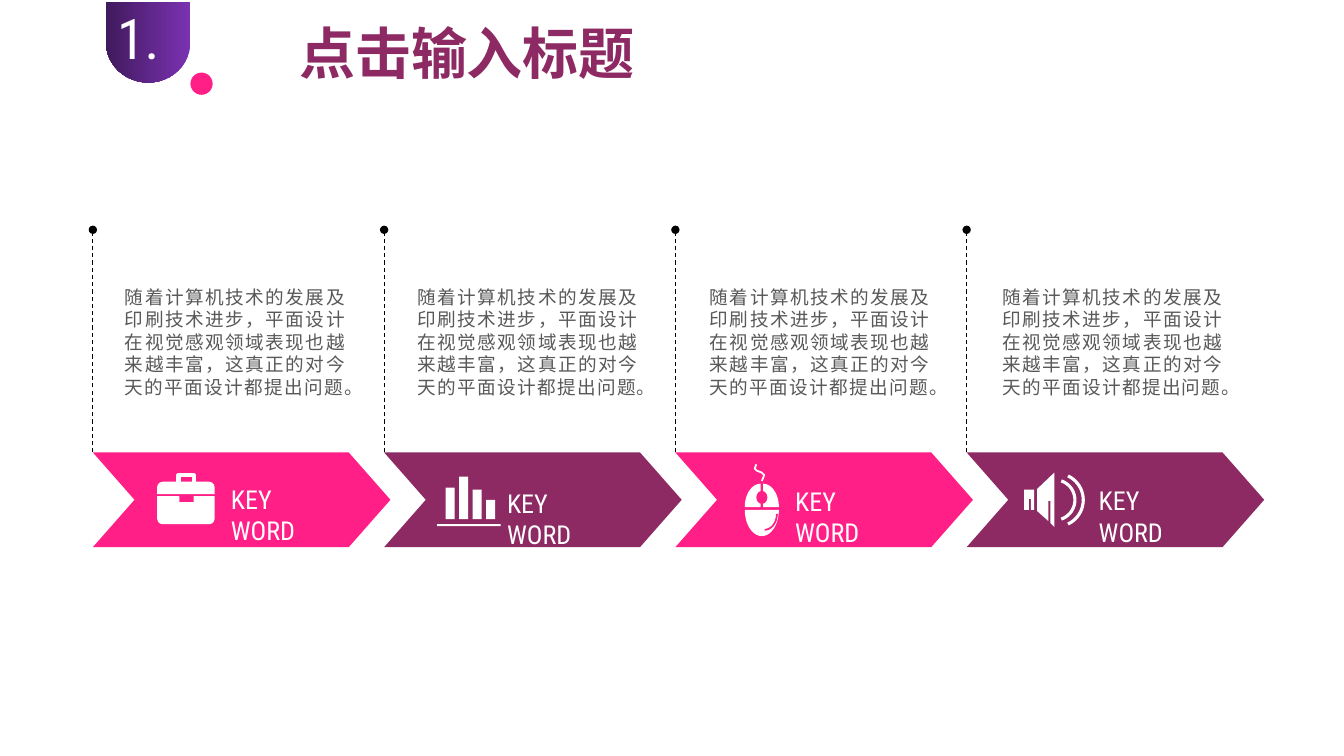
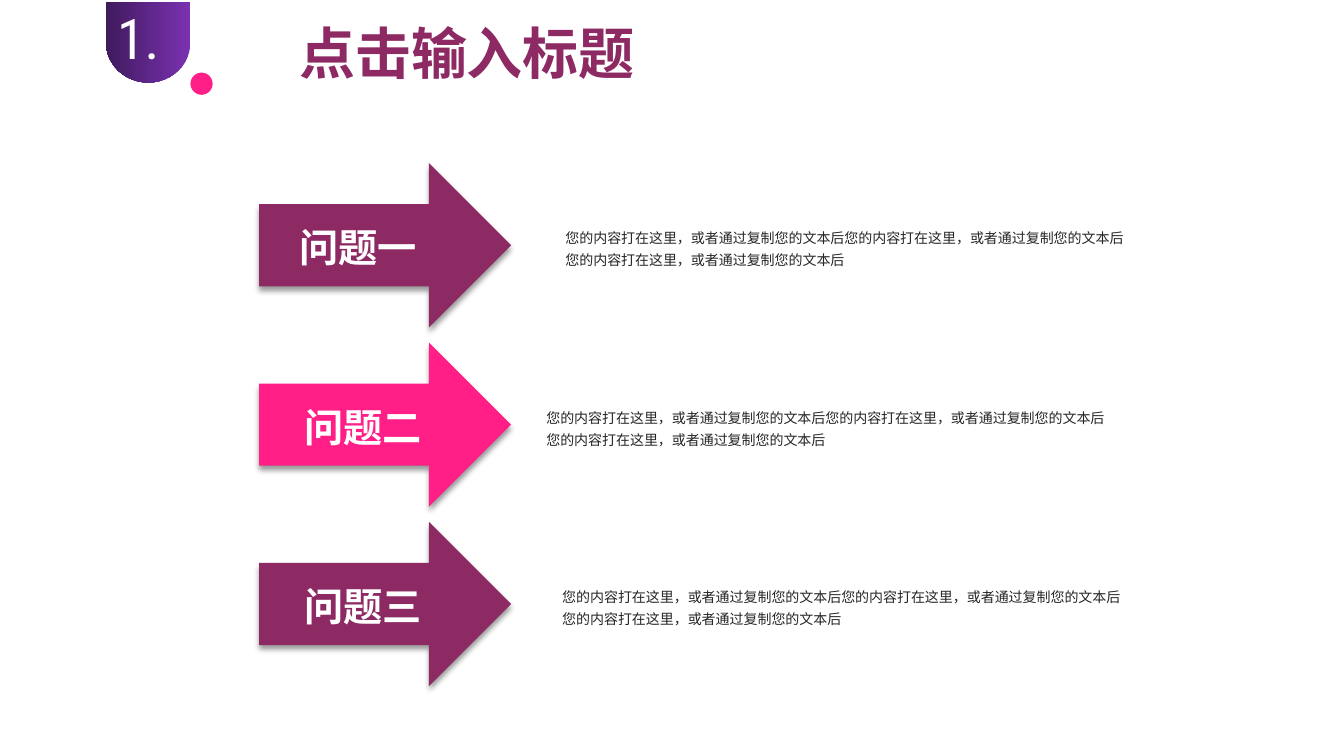
from math import cos, radians, sin

from lxml.etree import SubElement
from pptx import Presentation
from pptx.dml.color import RGBColor
from pptx.enum.dml import MSO_LINE
from pptx.enum.shapes import MSO_CONNECTOR, MSO_SHAPE
from pptx.enum.text import MSO_ANCHOR, MSO_AUTO_SIZE, PP_ALIGN
from pptx.oxml.ns import qn
from pptx.util import Cm, Pt

COLOURS = {
    "plum": "8D2963", "pink": "FF1F87", "violet": "7B32B2", "indigo": "401A5D",
    "white": "FFFFFF", "black": "000000", "grey": "595959", "ink": "262626",
}
HAN, LATIN = "Noto Sans CJK SC", "Roboto Condensed"
TITLE = "点击输入标题"
STEP_TEXT = "随着计算机技术的发展及印刷技术进步，平面设计在视觉感观领域表现也越来越丰富，这真正的对今天的平面设计都提出问题。"
PHRASE = "您的内容打在这里，或者通过复制您的文本后"
ANSWER = [PHRASE + PHRASE, PHRASE]

STEP_PITCH, STEP_LEFT, STEP_TOP = 7.34, 2.34, 11.4
ROW_PITCH = 4.52


def rgb(name):
    """Return a palette colour."""
    return RGBColor.from_string(COLOURS[name])


def write(tf, lines, size, colour, font=HAN, bold=False, spacing=1.0, align=PP_ALIGN.LEFT):
    """Fill a text frame with one paragraph per line."""
    tf.word_wrap = True
    tf.auto_size = MSO_AUTO_SIZE.NONE
    tf.vertical_anchor = MSO_ANCHOR.TOP
    tf.margin_left = tf.margin_right = tf.margin_top = tf.margin_bottom = 0
    for i, line in enumerate(lines):
        p = tf.paragraphs[0] if i == 0 else tf.add_paragraph()
        p.alignment = align
        p.line_spacing = spacing
        p.space_before = Pt(0)
        r = p.add_run()
        r.text = line
        r.font.size, r.font.bold, r.font.name = Pt(size), bold, font
        r.font.color.rgb = rgb(colour)
        SubElement(r._r.get_or_add_rPr(), qn("a:ea"), typeface=font)


def add_text(s, x, y, w, h, lines, size, colour, **style):
    """Add a text box without insets."""
    sp = s.shapes.add_textbox(Cm(x), Cm(y), Cm(w), Cm(h))
    write(sp.text_frame, lines, size, colour, **style)


def add_shape(s, kind, x, y, w, h, colour):
    """Add a flat preset shape without an outline."""
    sp = s.shapes.add_shape(kind, Cm(x), Cm(y), Cm(w), Cm(h))
    sp.shadow.inherit = False
    sp.fill.solid()
    sp.fill.fore_color.rgb = rgb(colour)
    sp.line.fill.background()
    return sp


def draw_path(s, points, colour, width=None):
    """Draw a filled outline, or an open stroke if a width is given."""
    points = [(Cm(x), Cm(y)) for x, y in points]
    builder = s.shapes.build_freeform(*points[0])
    builder.add_line_segments(points[1:], close=width is None)
    sp = builder.convert_to_shape()
    sp.shadow.inherit = False
    if width is None:
        sp.fill.solid()
        sp.fill.fore_color.rgb = rgb(colour)
        sp.line.fill.background()
    else:
        sp.fill.background()
        sp.line.color.rgb = rgb(colour)
        sp.line.width = Pt(width)


def arc(cx, cy, rx, ry, start, end, steps=20):
    """Return points along an elliptical arc, in clockwise degrees."""
    angles = [radians(start + (end - start) * i / steps) for i in range(steps + 1)]
    return [(cx + rx * cos(a), cy + ry * sin(a)) for a in angles]


def add_header(s):
    """Format the title and add the numbered badge."""
    title = s.shapes.title
    title.left, title.top, title.width, title.height = Cm(7.54), Cm(0.46), Cm(9.5), Cm(2)
    write(title.text_frame, [TITLE], 40, "plum", bold=True)
    badge = add_shape(s, MSO_SHAPE.FLOWCHART_DELAY, 2.72, 0, 2.03, 2.13, "violet")
    badge.rotation = 90
    badge.fill.gradient()
    badge.fill.gradient_angle = 270
    for stop, colour in zip(badge.fill.gradient_stops, ("violet", "indigo")):
        stop.color.rgb = rgb(colour)
    add_text(s, 2.95, 0.08, 1.35, 1.7, ["1."], 40, "white", font=LATIN)
    add_shape(s, MSO_SHAPE.OVAL, 4.8, 1.83, 0.56, 0.56, "pink")


def add_pin(s, x, bottom, top):
    """Add a dashed upright line with a dot at its top."""
    line = s.shapes.add_connector(MSO_CONNECTOR.STRAIGHT, Cm(x), Cm(bottom), Cm(x), Cm(top))
    line.line.color.rgb = rgb("black")
    line.line.width = Pt(0.75)
    line.line.dash_style = MSO_LINE.DASH
    SubElement(line.line._get_or_add_ln(), qn("a:tailEnd"), type="oval")
    SubElement(line._element.spPr, qn("a:effectLst"))


def add_drop_shadow(sp):
    """Give a shape a soft shadow straight below it."""
    effects = sp._element.spPr.find(qn("a:effectLst"))
    shadow = SubElement(effects, qn("a:outerShdw"), blurRad=str(Pt(4)), dist=str(Pt(3)),
                        dir="5400000", algn="t", rotWithShape="0")
    colour = SubElement(shadow, qn("a:srgbClr"), val=COLOURS["black"])
    SubElement(colour, qn("a:alpha"), val="40000")


def draw_briefcase(s, back):
    """Draw a briefcase with a clasp in the background colour."""
    handle = [(4.5, 12.16), (4.5, 11.97), (4.88, 11.97), (4.88, 12.16)]
    draw_path(s, handle, "white", 3)
    add_shape(s, MSO_SHAPE.ROUND_2_SAME_RECTANGLE, 3.96, 12.14, 1.45, 0.31, "white").adjustments[0] = 0.45
    body = add_shape(s, MSO_SHAPE.ROUND_2_SAME_RECTANGLE, 3.96, 12.5, 1.45, 0.71, "white")
    body.rotation = 180
    body.adjustments[0] = 0.2
    add_shape(s, MSO_SHAPE.RECTANGLE, 4.52, 12.5, 0.36, 0.15, back)


def draw_bars(s, back):
    """Draw a bar chart symbol on a base line."""
    for i, height in enumerate((0.79, 1.07, 0.74, 0.48)):
        add_shape(s, MSO_SHAPE.RECTANGLE, 11.23 + 0.34 * i, 13.08 - height, 0.23, height, "white")
    add_shape(s, MSO_SHAPE.RECTANGLE, 11.02, 13.21, 1.6, 0.05, "white")


def draw_mouse(s, back):
    """Draw a computer mouse with its cable."""
    for cx, start in ((19.17, 180), (19.23, 270)):
        draw_path(s, [(cx, 12.78)] + arc(cx, 12.78, 0.4, 0.59, start, start + 90), "white")
    draw_path(s, arc(19.2, 12.85, 0.43, 0.66, 0, 180), "white")
    add_shape(s, MSO_SHAPE.OVAL, 19.06, 12.37, 0.28, 0.33, back)
    draw_path(s, arc(19.27, 12.95, 0.31, 0.4, 0, 90), back, 1.25)
    cable = [(19.06, 11.7), (19.02, 11.81), (19.07, 11.86), (19.2, 11.91), (19.26, 11.97), (19.2, 12.12)]
    draw_path(s, cable, "white", 1.25)


def draw_speaker(s, back):
    """Draw a loudspeaker with two sound waves."""
    draw_path(s, [(26.14, 12.32), (26.57, 11.91), (26.57, 13.28), (26.47, 13.18),
                  (26.47, 12.62), (26.42, 12.62), (26.42, 13.13), (26.14, 12.88)], "white")
    draw_path(s, [(25.81, 12.34), (26.06, 12.34), (26.06, 12.85), (25.98, 12.85),
                  (25.98, 12.57), (25.93, 12.57), (25.93, 12.85), (25.81, 12.85)], "white")
    for cx, radius, angle in ((26.63, 0.67, 65), (26.58, 0.51, 71)):
        draw_path(s, arc(cx, 12.6, radius, radius, -angle, angle), "white", 2.25)


def build_steps(s):
    """Build the row of four chevron steps."""
    steps = [("pink", draw_briefcase, 5.82, 12.19), ("plum", draw_bars, 12.78, 12.29),
             ("pink", draw_mouse, 20.04, 12.24), ("plum", draw_speaker, 27.69, 12.22)]
    for i, (colour, draw_icon, key_x, key_y) in enumerate(steps):
        x = STEP_LEFT + STEP_PITCH * i
        add_pin(s, x, STEP_TOP, 5.79)
        add_text(s, 3.15 + 7.37 * i, 7.19, 5.54, 2.9, [STEP_TEXT], 13.3, "grey",
                 spacing=Pt(16.1), align=PP_ALIGN.JUSTIFY)
        add_shape(s, MSO_SHAPE.CHEVRON, x, STEP_TOP, 7.5, 2.39, colour).adjustments[0] = 0.44
        draw_icon(s, colour)
        add_text(s, key_x, key_y, 2.1, 1.6, ["KEY WORD"], 18.6, "white", font=LATIN)


def build_questions(s):
    """Build the three question arrows and their answers."""
    rows = [("问题一", "plum", 7.54, 14.25), ("问题二", "pink", 7.67, 13.77),
            ("问题三", "plum", 7.67, 14.17)]
    for i, (label, colour, label_x, answer_x) in enumerate(rows):
        offset = ROW_PITCH * i
        arrow = add_shape(s, MSO_SHAPE.RIGHT_ARROW, 6.53, 4.11 + offset, 6.35, 4.14, colour)
        add_drop_shadow(arrow)
        add_text(s, label_x, 5.64 + offset, 4.5, 1.5, [label], 28, "white", bold=True)
        add_text(s, answer_x, 5.66 + offset, 14.7, 1.3, ANSWER, 10, "ink", spacing=Pt(15.7))


def main():
    """Build and save the presentation."""
    prs = Presentation()
    prs.slide_width, prs.slide_height = Cm(33.87), Cm(19.05)
    for build in (build_steps, build_questions):
        s = prs.slides.add_slide(prs.slide_layouts[5])
        add_header(s)
        build(s)
    prs.save("out.pptx")


if __name__ == "__main__":
    main()
